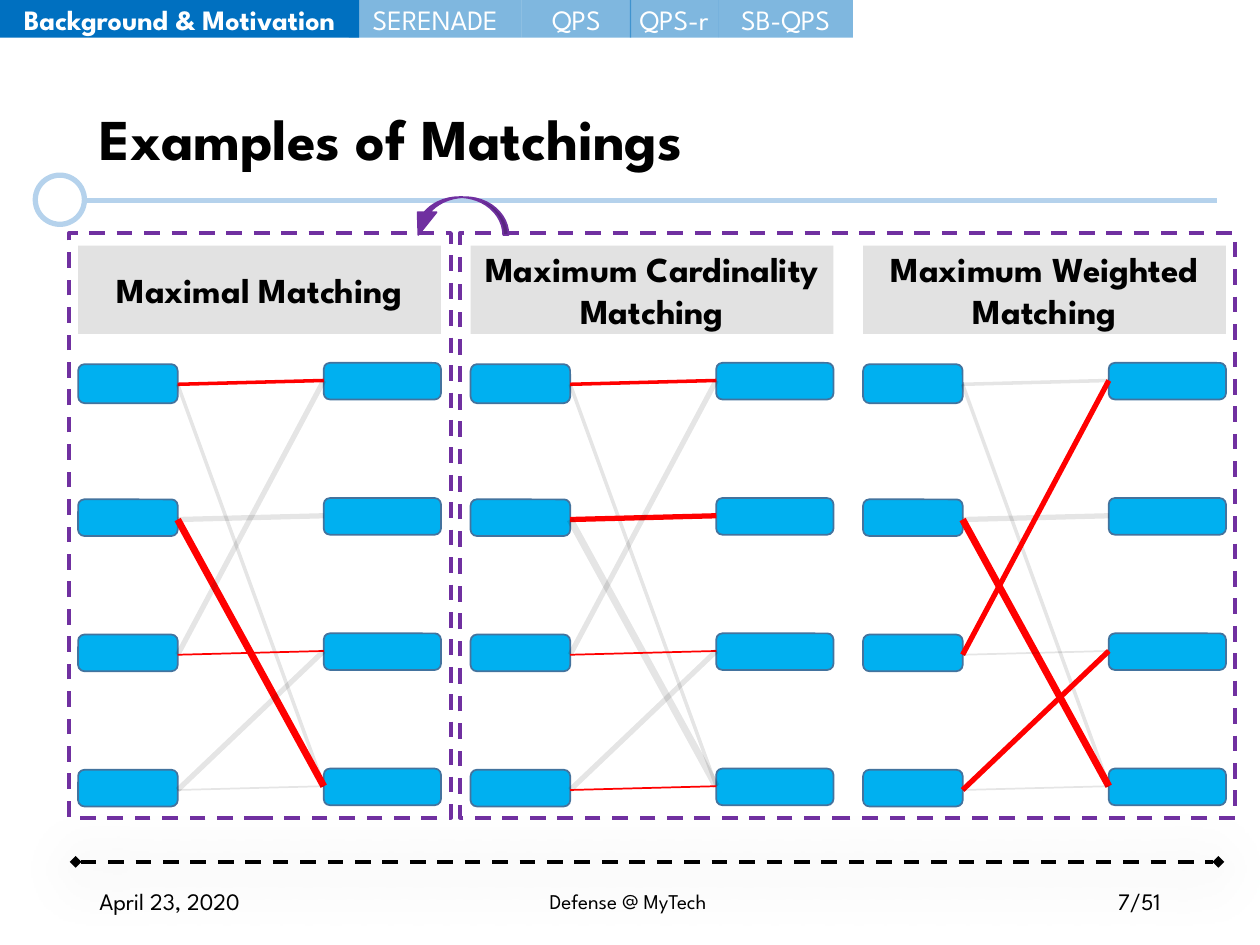
from dataclasses import dataclass

from lxml import etree
from pptx import Presentation
from pptx import util as u
from pptx.dml.color import RGBColor
from pptx.enum import dml, shapes, text
from pptx.oxml.ns import qn

I = u.Inches
LEFT, CENTER, RIGHT = text.PP_ALIGN.LEFT, text.PP_ALIGN.CENTER, text.PP_ALIGN.RIGHT


@dataclass(frozen=True)
class Theme:
    font: str = "League Spartan"
    ink: str = "000000"
    paper: str = "FFFFFF"
    rule: str = "B5D2EC"
    tab: str = "0070C0"
    node: str = "00B0F0"
    node_line: str = "43739E"
    match: str = "FF0000"
    header: str = "E2E2E2"
    frame: str = "7030A0"
    title_size: float = 33
    header_size: float = 20
    tab_size: float = 16
    date_size: float = 13.5
    footer_size: float = 12


class Deck:
    def __init__(self, theme, s):
        self.theme, self.s, self.target = theme, s, s.shapes

    def start_group(self):
        self.target = self.s.shapes.add_group_shape().shapes

    def end_group(self):
        self.target = self.s.shapes

    def set_alpha(self, sp, percent):
        color = sp._element.spPr.find(".//" + qn("a:srgbClr"))
        etree.SubElement(color, qn("a:alpha"), val=str(percent * 1000))

    def add_shadow(self, parent, percent, blur, dist, angle):
        effects = etree.SubElement(parent, qn("a:effectLst"))
        outer = etree.SubElement(effects, qn("a:outerShdw"), blurRad=str(int(u.Pt(blur))),
                                 dist=str(int(u.Pt(dist))), dir=str(angle * 60000),
                                 algn="tl", rotWithShape="0")
        color = etree.SubElement(outer, qn("a:srgbClr"), val=self.theme.ink)
        etree.SubElement(color, qn("a:alpha"), val=str(percent * 1000))

    def style_line(self, line, color, width, dash=False):
        line.color.rgb = RGBColor.from_string(color)
        line.width = u.Pt(width)
        if dash:
            line.dash_style = dml.MSO_LINE.DASH

    def set_text(self, tf, words, size, color, bold=False, align=CENTER):
        tf.word_wrap = True
        tf.vertical_anchor = text.MSO_ANCHOR.MIDDLE
        p = tf.paragraphs[0]
        p.text = words
        p.alignment = align
        p.font.name = self.theme.font
        p.font.size = u.Pt(size)
        p.font.bold = bold
        p.font.color.rgb = RGBColor.from_string(color)
        return p

    def title(self, words, x, y, w, h):
        sp = self.s.shapes.title
        sp.left, sp.top, sp.width, sp.height = I(x), I(y), I(w), I(h)
        p = self.set_text(sp.text_frame, words, self.theme.title_size,
                          self.theme.ink, True, LEFT)
        p.line_spacing = 0.9
        self.add_shadow(p.runs[0]._r.get_or_add_rPr(), 43, 4, 3, 45)

    def label(self, words, x, y, w, h, size, align):
        sp = self.target.add_textbox(I(x), I(y), I(w), I(h))
        self.set_text(sp.text_frame, words, size, self.theme.ink, align=align)

    def shape(self, kind, x, y, w, h, fill=None, line=None, width=1, dash=False):
        sp = self.target.add_shape(kind, I(x), I(y), I(w), I(h))
        sp.shadow.inherit = False
        if fill:
            sp.fill.solid()
            sp.fill.fore_color.rgb = RGBColor.from_string(fill)
        else:
            sp.fill.background()
        if line:
            self.style_line(sp.line, line, width, dash)
        else:
            sp.line.fill.background()
        return sp

    def box(self, words, x, y, w, h, fill, size, color, bold):
        sp = self.shape(shapes.MSO_SHAPE.RECTANGLE, x, y, w, h, fill)
        tf = sp.text_frame
        tf.margin_left = tf.margin_right = 0
        self.set_text(tf, words, size, color, bold)
        return sp

    def line(self, x1, y1, x2, y2, color, width, dash=False, shadow=None):
        c = self.target.add_connector(shapes.MSO_CONNECTOR.STRAIGHT,
                                      I(x1), I(y1), I(x2), I(y2))
        self.style_line(c.line, color, width, dash)
        if shadow:
            self.add_shadow(c._element.spPr, *shadow)
        else:
            etree.SubElement(c._element.spPr, qn("a:effectLst"))
        return c

    def diamond_ends(self, c):
        ln = c._element.spPr.find(qn("a:ln"))
        for end in ("a:headEnd", "a:tailEnd"):
            etree.SubElement(ln, qn(end), type="diamond")


TABS = [("Background & Motivation", 0, 2.85), ("SERENADE", 2.77, 1.37),
        ("QPS", 4.14, 0.87), ("QPS-r", 5, 0.7), ("SB-QPS", 5.7, 1.07)]
EDGES = [(0, 0, 2), (0, 3, 2), (1, 1, 3), (1, 3, 4),
         (2, 0, 3), (2, 2, 1), (3, 2, 3), (3, 3, 1)]
PANELS = [("Maximal Matching", {(0, 0), (1, 3), (2, 2)}),
          ("Maximum Cardinality Matching", {(0, 0), (1, 1), (2, 2), (3, 3)}),
          ("Maximum Weighted Matching", {(1, 3), (2, 0), (3, 2)})]
FRAMES = [(3.65, 6.15), (0.55, 3.03)]
PANEL_LEFT, PANEL_STEP, PANEL_W = 0.62, 6.23 / 2, 2.88
IN_W, OUT_W, OUT_X, NODE_H = 0.79, 0.93, 1.95, 0.29
ROW_STEP = 3.22 / 3


def matching_panel(d, x, words, matched):
    t = d.theme
    d.start_group()
    for row in range(4):
        y = row * ROW_STEP
        in_h = NODE_H if row else 0.31
        for left, top, w, h in ((x, 2.89, IN_W, in_h), (x + OUT_X, 2.88, OUT_W, NODE_H)):
            d.shape(shapes.MSO_SHAPE.ROUNDED_RECTANGLE, left, top + y, w, h,
                    t.node, t.node_line)
    for start, end, weight in EDGES:
        chosen = (start, end) in matched
        c = d.line(x + IN_W, 3.05 + start * ROW_STEP, x + OUT_X, 3.02 + end * ROW_STEP,
                   t.match if chosen else t.ink, weight)
        if not chosen:
            d.set_alpha(c, 10)
    d.box(words, x, 1.95, PANEL_W, 0.7, t.header, t.header_size, t.ink, True)
    d.end_group()


def main():
    prs = Presentation()
    prs.slide_width, prs.slide_height = I(10), I(7.5)
    t = Theme()
    d = Deck(t, prs.slides.add_slide(prs.slide_layouts[5]))

    d.line(0.69, 1.59, 9.66, 1.59, t.rule, 3)
    d.shape(shapes.MSO_SHAPE.OVAL, 0.28, 1.39, 0.39, 0.39, t.paper, t.rule, 3)
    d.diamond_ends(d.line(0.6, 6.84, 9.67, 6.84, t.ink, 2.25, True, (43, 36, 4, 90)))
    d.title("Examples of Matchings", 0.69, 0.4, 7.86, 1.45)
    d.label("Defense @ MyTech", 2.41, 6.95, 5.15, 0.4, t.footer_size, CENTER)
    d.label("April 23, 2020", 0.69, 6.95, 2.25, 0.4, t.date_size, LEFT)
    d.label("7/51", 7.06, 6.95, 2.25, 0.4, t.date_size, RIGHT)

    for i, (words, x, w) in enumerate(TABS):
        sp = d.box(words, x, 0, w, 0.3, t.tab, t.tab_size, t.paper, i == 0)
        if i:
            d.set_alpha(sp, 50)

    for i, (words, matched) in enumerate(PANELS):
        matching_panel(d, PANEL_LEFT + i * PANEL_STEP, words, matched)

    for x, w in FRAMES:
        d.shape(shapes.MSO_SHAPE.RECTANGLE, x, 1.85, w, 4.64,
                line=t.frame, width=2.25, dash=True)
    arrow = d.shape(shapes.MSO_SHAPE.CURVED_RIGHT_ARROW, 3.49, 1.32, 0.3, 0.79,
                    t.frame, t.frame)
    arrow.rotation = 90
    for i, value in enumerate((0.14, 0.5, 0.6)):
        arrow.adjustments[i] = value

    prs.save("out.pptx")


if __name__ == "__main__":
    main()
